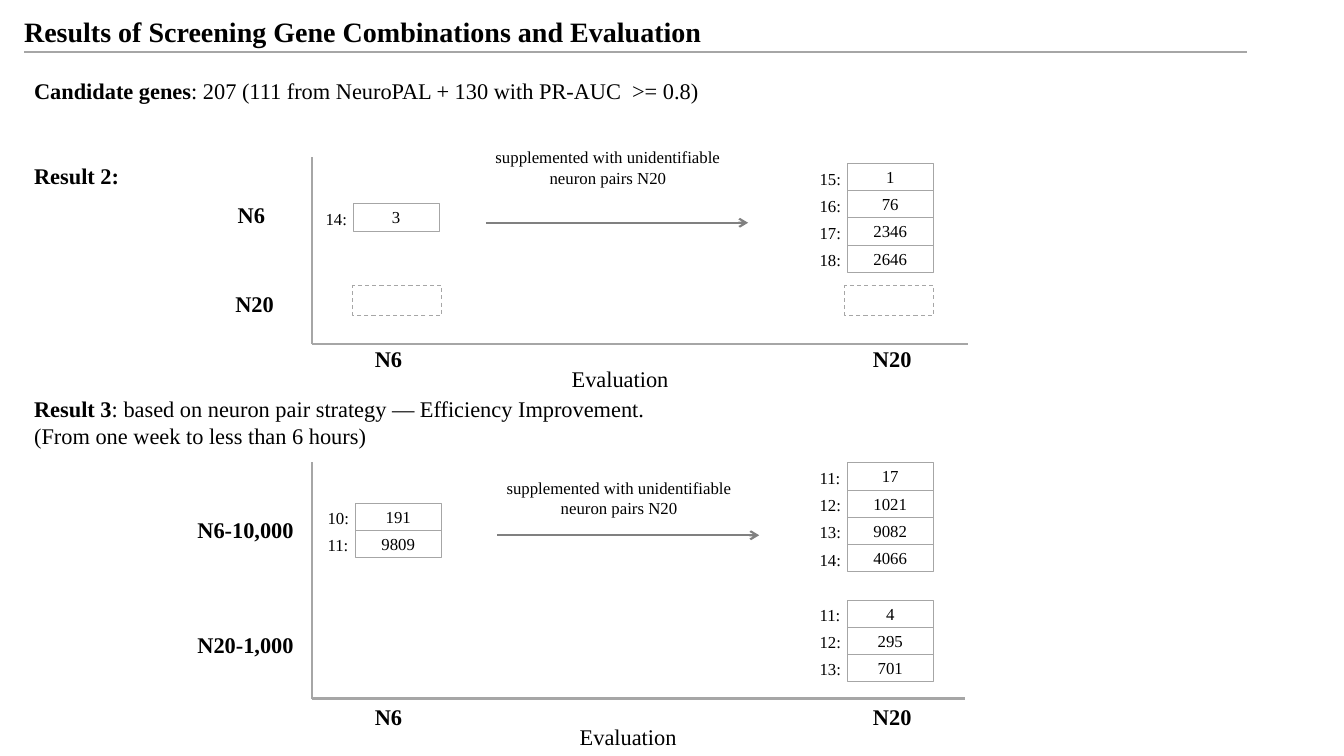
from dataclasses import dataclass

from lxml import etree
from pptx import Presentation
from pptx.dml.color import RGBColor
from pptx.enum.dml import MSO_LINE
from pptx.enum.shapes import MSO_CONNECTOR, MSO_SHAPE
from pptx.enum.text import MSO_ANCHOR, MSO_AUTO_SIZE, PP_ALIGN
from pptx.oxml.ns import qn
from pptx.util import Inches, Pt

LEFT, CENTER = PP_ALIGN.LEFT, PP_ALIGN.CENTER
TOP, MIDDLE = MSO_ANCHOR.TOP, MSO_ANCHOR.MIDDLE
GROW, FIXED = MSO_AUTO_SIZE.SHAPE_TO_FIT_TEXT, MSO_AUTO_SIZE.NONE
STRAIGHT, RECTANGLE, DASH = MSO_CONNECTOR.STRAIGHT, MSO_SHAPE.RECTANGLE, MSO_LINE.DASH

SLIDE_WIDTH, SLIDE_HEIGHT = Inches(13.33), Inches(7.5)
COLUMNS, ROWS = 1333, 750
CELL_WIDTH, CELL_HEIGHT, LABEL_OFFSET = 86, 27, 37


@dataclass(frozen=True)
class Theme:
    font: str = "Times New Roman"
    ink: RGBColor = RGBColor(0x00, 0x00, 0x00)
    rule: RGBColor = RGBColor(0xA6, 0xA6, 0xA6)
    arrow: RGBColor = RGBColor(0x80, 0x80, 0x80)
    title: int = 20
    body: int = 16
    small: int = 12
    rule_width: float = 1.5
    cell_width: float = 0.25
    dashed_width: float = 0.75


THEME = Theme()


@dataclass(frozen=True)
class Box:
    column: float
    row: float
    width: float
    height: float

    def emu(self) -> tuple[int, int, int, int]:
        return (across(self.column), down(self.row), across(self.width), down(self.height))


@dataclass(frozen=True)
class Label:
    box: Box
    bold: str = ""
    plain: str = ""
    size: int = THEME.body
    align: PP_ALIGN = LEFT
    fit: MSO_AUTO_SIZE = GROW


@dataclass(frozen=True)
class Stack:
    column: float
    row: float
    first_count: int
    values: tuple[int, ...]


@dataclass(frozen=True)
class Panel:
    axis_row: float
    axis_top: float
    axis_end: float
    arrow_column: float
    arrow_row: float
    caption_row: float
    tick_row: float
    evaluation: Box
    row_labels: tuple[Label, ...]
    stacks: tuple[Stack, ...]
    empty_boxes: tuple[Box, ...] = ()


HEADINGS = (
    Label(Box(14, 9, 703, 44), "Results of Screening Gene Combinations and Evaluation", size=THEME.title),
    Label(Box(24, 72, 880, 37), "Candidate genes", ": 207 (111 from NeuroPAL + 130 with PR-AUC  >= 0.8)"),
    Label(Box(24, 156, 291, 37), "Result 2:"),
    Label(
        Box(24, 387, 651, 64),
        "Result 3",
        ": based on neuron pair strategy — Efficiency Improvement. (From one week to less than 6 hours)",
    ),
)

PANELS = (
    Panel(
        axis_row=341, axis_top=156, axis_end=960,
        arrow_column=482, arrow_row=221, caption_row=141, tick_row=337.5,
        evaluation=Box(485, 357, 260, 37),
        row_labels=(
            Label(Box(226, 195, 53, 37), "N6"),
            Label(Box(218, 283, 69, 37), "N20", align=CENTER),
        ),
        stacks=(Stack(350, 202, 14, (3,)), Stack(840, 162, 15, (1, 76, 2346, 2646))),
        empty_boxes=(Box(350, 283, 88, 30), Box(838, 283, 88, 30)),
    ),
    Panel(
        axis_row=693, axis_top=458, axis_end=957,
        arrow_column=493, arrow_row=531, caption_row=469, tick_row=693,
        evaluation=Box(493, 713, 260, 37),
        row_labels=(
            Label(Box(186, 507, 123, 37), "N6-10,000"),
            Label(Box(186, 621, 134, 37), "N20-1,000"),
        ),
        stacks=(
            Stack(352, 499, 10, (191, 9809)),
            Stack(840, 459, 11, (17, 1021, 9082, 4066)),
            Stack(840, 595, 11, (4, 295, 701)),
        ),
    ),
)


def across(columns: float) -> int:
    return round(SLIDE_WIDTH * columns / COLUMNS)


def down(rows: float) -> int:
    return round(SLIDE_HEIGHT * rows / ROWS)


def apply_format(target, values: dict) -> None:
    for name, value in values.items():
        setattr(target, name, value)


def write_text(shape, label: Label, anchor: MSO_ANCHOR) -> None:
    frame = shape.text_frame
    apply_format(frame, {"word_wrap": True, "auto_size": label.fit, "vertical_anchor": anchor})
    paragraph = frame.paragraphs[0]
    paragraph.alignment = label.align
    for text, bold in ((label.bold, True), (label.plain, False)):
        if text:
            run = paragraph.add_run()
            run.text = text
            apply_format(run.font, {"name": THEME.font, "size": Pt(label.size), "bold": bold})
            run.font.color.rgb = THEME.ink


def add_label(slide, label: Label) -> None:
    write_text(slide.shapes.add_textbox(*label.box.emu()), label, TOP)


def add_frame(slide, box: Box, line_format: dict):
    shape = slide.shapes.add_shape(RECTANGLE, *box.emu())
    shape.shadow.inherit = False
    shape.fill.background()
    shape.line.color.rgb = THEME.rule
    apply_format(shape.line, line_format)
    return shape


def add_line(slide, start: tuple, end: tuple, color: RGBColor, arrowhead: bool = False) -> None:
    connector = slide.shapes.add_connector(
        STRAIGHT, across(start[0]), down(start[1]), across(end[0]), down(end[1])
    )
    connector.line.color.rgb = color
    connector.line.width = Pt(THEME.rule_width)
    properties = connector.element.spPr
    if arrowhead:
        etree.SubElement(properties.find(qn("a:ln")), qn("a:tailEnd"), type="arrow")
    etree.SubElement(properties, qn("a:effectLst"))


def add_stack(slide, stack: Stack) -> None:
    for index, value in enumerate(stack.values):
        row = stack.row + index * CELL_HEIGHT
        cell = Label(
            Box(stack.column, row, CELL_WIDTH, CELL_HEIGHT),
            plain=str(value), size=THEME.small, align=CENTER, fit=FIXED,
        )
        write_text(add_frame(slide, cell.box, {"width": Pt(THEME.cell_width)}), cell, MIDDLE)
        count_box = Box(stack.column - LABEL_OFFSET, row, 58, 30)
        add_label(slide, Label(count_box, plain=f"{stack.first_count + index}:", size=THEME.small))


def add_panel(slide, panel: Panel) -> None:
    origin = (309.5, panel.axis_row)
    add_line(slide, origin, (panel.axis_end, panel.axis_row), THEME.rule)
    add_line(slide, origin, (309.5, panel.axis_top), THEME.rule)
    arrow_end = (panel.arrow_column + 260, panel.arrow_row)
    add_line(slide, (panel.arrow_column, panel.arrow_row), arrow_end, THEME.arrow, True)
    caption = Label(
        Box(panel.arrow_column - 10.5, panel.caption_row, 263, 62),
        plain="supplemented with unidentifiable neuron pairs N20",
        size=THEME.small, align=CENTER, fit=FIXED,
    )
    ticks = (
        Label(Box(362, panel.tick_row, 53, 37), "N6"),
        Label(Box(856, panel.tick_row, 69, 37), "N20"),
    )
    evaluation = Label(panel.evaluation, plain="Evaluation", align=CENTER)
    for label in (caption, *ticks, *panel.row_labels, evaluation):
        add_label(slide, label)
    for stack in panel.stacks:
        add_stack(slide, stack)
    for box in panel.empty_boxes:
        add_frame(slide, box, {"width": Pt(THEME.dashed_width), "dash_style": DASH})


def main() -> None:
    presentation = Presentation()
    apply_format(presentation, {"slide_width": SLIDE_WIDTH, "slide_height": SLIDE_HEIGHT})
    slide = presentation.slides.add_slide(presentation.slide_layouts[6])
    for heading in HEADINGS:
        add_label(slide, heading)
    add_line(slide, (24, 52), (1237, 52), THEME.rule)
    for panel in PANELS:
        add_panel(slide, panel)
    presentation.save("out.pptx")


if __name__ == "__main__":
    main()
